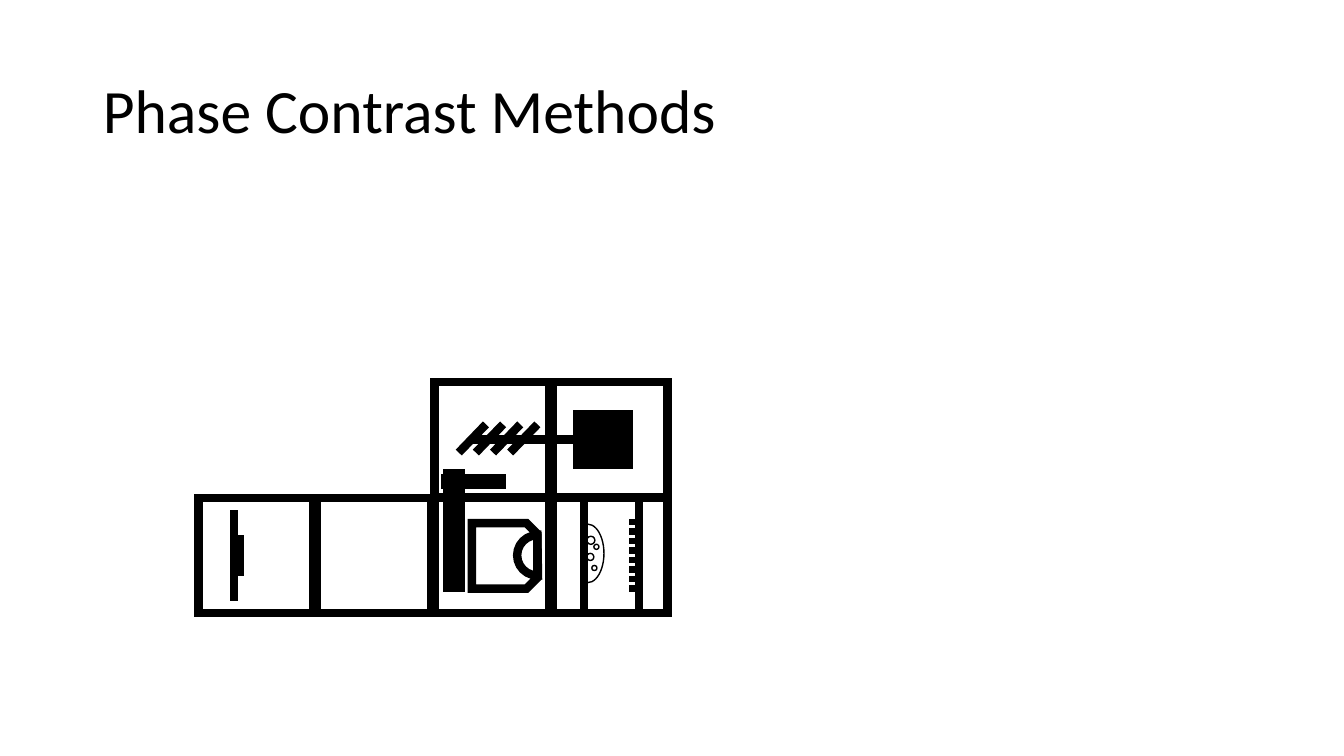
import pptx
import pptx.util
import pptx.dml.color
import pptx.enum.shapes
import pptx.enum.text
import pptx.oxml
import pptx.oxml.ns
from dataclasses import dataclass


@dataclass
class Theme:
    ink: str = "000000"
    font: str = "Calibri"
    title: float = 44
    heavy: float = 6
    medium: float = 4.5
    thin: float = 1


theme = Theme()
ink = pptx.dml.color.RGBColor.from_string(theme.ink)
Inches = pptx.util.Inches
MSO = pptx.enum.shapes.MSO_SHAPE

LEFT, TOP = 1.97, 3.79
COL, ROW = 1.17, 1.15
CELL = 1.14

prs = pptx.Presentation()
prs.slide_width = Inches(13.33)
prs.slide_height = Inches(7.5)
s = prs.slides.add_slide(prs.slide_layouts[5])


def add_part(kind, cell, x, y, w, h, weight=theme.heavy, solid=False):
    col, row = cell
    sp = s.shapes.add_shape(kind, Inches(LEFT + col * COL + x), Inches(TOP + row * ROW + y), Inches(w), Inches(h))
    sp.shadow.inherit = False
    if solid:
        sp.fill.solid()
        sp.fill.fore_color.rgb = ink
    else:
        sp.fill.background()
    sp.line.color.rgb = ink
    sp.line.width = pptx.util.Pt(weight)
    miter = pptx.oxml.parse_xml(f'<a:miter {pptx.oxml.ns.nsdecls("a")} lim="800000"/>')
    sp.line._get_or_add_ln().append(miter)
    return sp


def add_line(cell, x1, y1, x2, y2, weight=theme.heavy):
    left, top = LEFT + cell[0] * COL, TOP + cell[1] * ROW
    line = s.shapes.add_connector(
        pptx.enum.shapes.MSO_CONNECTOR.STRAIGHT,
        Inches(left + x1), Inches(top + y1), Inches(left + x2), Inches(top + y2),
    )
    line.line.color.rgb = ink
    line.line.width = pptx.util.Pt(weight)
    line._element.spPr.append(pptx.oxml.parse_xml(f'<a:effectLst {pptx.oxml.ns.nsdecls("a")}/>'))


title = s.shapes.title
title.left, title.top = Inches(0.92), Inches(0.4)
title.width, title.height = Inches(11.5), Inches(1.45)
tf = title.text_frame
tf.text = "Phase Contrast Methods"
tf.vertical_anchor = pptx.enum.text.MSO_ANCHOR.MIDDLE
p = tf.paragraphs[0]
p.alignment = pptx.enum.text.PP_ALIGN.LEFT
p.line_spacing = 0.9
r = p.runs[0]
r.font.name = theme.font
r.font.size = pptx.util.Pt(theme.title)
r.font.color.rgb = ink

source, gap, optics, sample = (0, 1), (1, 1), (2, 1), (3, 1)
grating, detector = (2, 0), (3, 0)

for cell in (source, gap, optics, sample, grating, detector):
    add_part(MSO.RECTANGLE, cell, 0, 0, CELL, CELL)

for x, inset in ((0.35, 0.12), (0.41, 0.37)):
    add_line(source, x, CELL - inset, x, inset)

add_part(MSO.RECTANGLE, optics, 0.09, -0.28, 0.21, 1.21, theme.thin, True)
housing = add_part(MSO.SNIP_2_SAME_RECTANGLE, optics, 0.37, 0.25, 0.65, 0.65)
housing.rotation = 90
lens = add_part(MSO.CHORD, optics, 0.82, 0.37, 0.4, 0.4)
lens.adjustments[0], lens.adjustments[1] = 52.86, 162

add_part(MSO.RECTANGLE, grating, 0.07, 0.92, 0.63, 0.14, theme.thin, True)
for i in range(4):
    x = 0.24 + 0.17 * i
    add_line(grating, x + 0.27, 0.42, x, 0.7)
add_line(grating, 0.36, 0.57, 1.54, 0.57)
add_part(MSO.RECTANGLE, detector, 0.21, 0.28, 0.58, 0.58, theme.thin, True)

add_line(sample, 0.86, 0, 0.86, CELL)
for i in range(8):
    y = 0.24 + 0.66 * i / 7
    add_line(sample, 0.84, y, 0.76, y, theme.medium)

add_line(sample, 0.31, 1.12, 0.31, 0.01)
dish = add_part(MSO.ARC, sample, 0.19, 0.26, 0.32, 0.58, theme.thin)
dish.adjustments[0], dish.adjustments[1] = 162, 58.81
for x, y, size in ((0.34, 0.38, 0.08), (0.41, 0.46, 0.05), (0.34, 0.55, 0.07), (0.39, 0.67, 0.05)):
    add_part(MSO.OVAL, sample, x, y, size, size, theme.thin)

prs.save("out.pptx")
